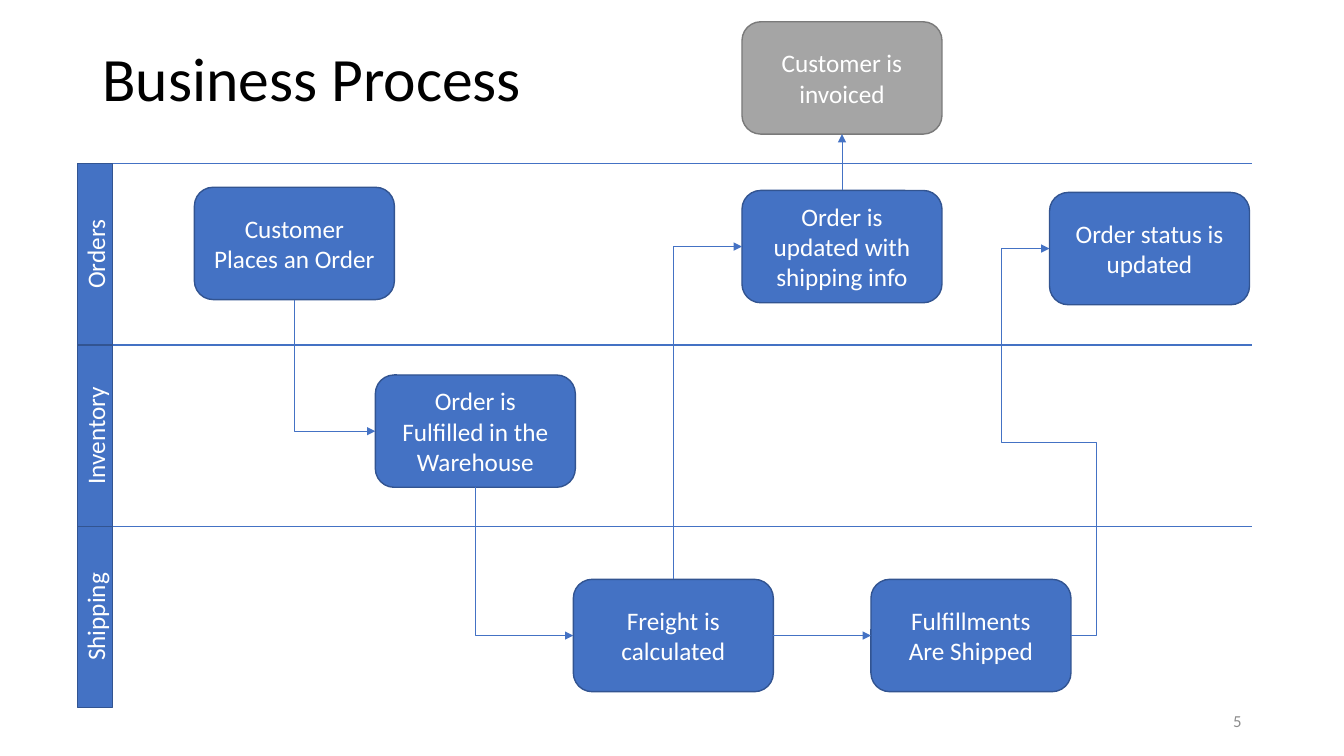
import pptx
import pptx.dml.color
import pptx.enum.shapes
import pptx.enum.text
import pptx.oxml
import pptx.oxml.ns
import pptx.util

Cm, Pt = pptx.util.Cm, pptx.util.Pt
SHAPE = pptx.enum.shapes.MSO_SHAPE
CONNECTOR = pptx.enum.shapes.MSO_CONNECTOR
ALIGN = pptx.enum.text.PP_ALIGN
MIDDLE = pptx.enum.text.MSO_ANCHOR.MIDDLE
qn = pptx.oxml.ns.qn

THEME = {
    "font": "Calibri",
    "title": 44, "label": 18, "number": 12,
    "black": "000000", "white": "FFFFFF", "muted": "8C8C8C",
    "blue": "4472C4", "navy": "325491", "gray": "A5A5A5", "dark gray": "7A7A7A",
    "border": 1, "arrow": 0.5,
}

TITLE = "Business Process"
PAGE_NUMBER = "5"
LANES = ["Orders", "Inventory", "Shipping"]

# name: (text, left, top, fill, outline), lengths in cm
STEPS = {
    "placed": ("Customer\nPlaces an Order", 4.9, 4.72, "blue", "navy"),
    "fulfilled": ("Order is\nFulfilled in the Warehouse", 9.46, 9.45, "blue", "navy"),
    "freight": ("Freight is calculated", 14.45, 14.6, "blue", "navy"),
    "invoiced": ("Customer is invoiced", 18.7, 0.55, "gray", "dark gray"),
    "info": ("Order is updated with shipping info", 18.7, 4.8, "blue", "navy"),
    "shipped": ("Fulfillments\nAre Shipped", 21.95, 14.6, "blue", "navy"),
    "status": ("Order status is updated", 26.45, 4.85, "blue", "navy"),
}
STEP_SIZE = (5.04, 2.83)
LANE_LEFT, LANE_RIGHT, LANE_TOP = 1.96, 31.54, 4.12
LANE_HEIGHT, LABEL_WIDTH = 4.57, 0.87

# connection sites of a step box
TOP, LEFT, BOTTOM, RIGHT = range(4)
FLOWS = [
    ("placed", BOTTOM, "fulfilled", LEFT, "corner"),
    ("fulfilled", BOTTOM, "freight", LEFT, "corner"),
    ("freight", TOP, "info", LEFT, "corner"),
    ("info", TOP, "invoiced", BOTTOM, "straight"),
    ("freight", RIGHT, "shipped", LEFT, "straight"),
    ("shipped", RIGHT, "status", LEFT, "detour"),
]
DETOUR_RIGHT, DETOUR_LEFT = 27.64, 25.23


def color(name):
    """Return a theme colour."""
    return pptx.dml.color.RGBColor.from_string(THEME[name])


def write(shape, text, size, ink, align, spacing=None):
    """Fill a shape with formatted, vertically centred text."""
    frame = shape.text_frame
    frame.text = text
    frame.word_wrap = True
    frame.vertical_anchor = MIDDLE
    for para in frame.paragraphs:
        para.alignment = align
        para.line_spacing = spacing
        for span in para.runs:
            values = {"name": THEME["font"], "size": Pt(THEME[size]), "bold": False}
            for key, value in values.items():
                setattr(span.font, key, value)
            span.font.color.rgb = color(ink)


def place(shape, left, top, width, height):
    """Move and size a shape in centimetres."""
    values = {"left": left, "top": top, "width": width, "height": height}
    for key, value in values.items():
        setattr(shape, key, Cm(value))


def add_box(page, kind, text, left, top, width, height, fill, outline):
    """Add a filled box with a centred label."""
    box = page.shapes.add_shape(kind, Cm(left), Cm(top), Cm(width), Cm(height))
    box.shadow.inherit = False
    box.fill.solid()
    box.fill.fore_color.rgb = color(fill)
    box.line.color.rgb = color(outline)
    box.line.width = Pt(THEME["border"])
    write(box, text, "label", "white", ALIGN.CENTER)
    return box


def add_line(page, kind, ends, weight):
    """Add a blue connector without a shadow."""
    line = page.shapes.add_connector(kind, *(Cm(end) for end in ends))
    line.line.color.rgb = color("blue")
    line.line.width = Pt(THEME[weight])
    pptx.oxml.ns  # namespace helpers serve the element below
    line._element.spPr.append(pptx.oxml.parse_xml(
        "<a:effectLst %s/>" % pptx.oxml.ns.nsdecls("a")))
    return line


def bend(line, route):
    """Give an elbow connector a single corner or a detour of five legs."""
    properties = line._element.spPr
    geometry = properties.find(qn("a:prstGeom"))
    start_x, start_y, end_x, end_y = line.begin_x, line.begin_y, line.end_x, line.end_y
    across, down = abs(end_x - start_x), abs(end_y - start_y)
    if route == "corner":
        geometry.set("prst", "bentConnector2")
        line.left = (start_x + end_x - down) // 2
        line.top = (start_y + end_y - across) // 2
        line.width, line.height = down, across
        upward = end_y < start_y
        frame = properties.find(qn("a:xfrm"))
        values = {"rot": str((90 if upward else 270) * 60000),
                  "flipH": "1", "flipV": "1" if upward else "0"}
        for key, value in values.items():
            frame.set(key, value)
    else:
        geometry.set("prst", "bentConnector5")
        guides = geometry.get_or_add_avLst()
        turns = [(start_x - Cm(DETOUR_RIGHT)) / across, 0.5,
                 (start_x - Cm(DETOUR_LEFT)) / across]
        for number, turn in enumerate(turns, 1):
            guides.append(pptx.oxml.parse_xml(
                '<a:gd %s name="adj%d" fmla="val %d"/>'
                % (pptx.oxml.ns.nsdecls("a"), number, round(turn * 100000))))


def add_flow(page, boxes, source, source_site, target, target_site, route):
    """Join two steps with an arrow."""
    kind = CONNECTOR.STRAIGHT if route == "straight" else CONNECTOR.ELBOW
    line = add_line(page, kind, (0, 0, 1, 1), "arrow")
    line.begin_connect(boxes[source], source_site)
    line.end_connect(boxes[target], target_site)
    if route != "straight":
        bend(line, route)
    line._element.spPr.find(qn("a:ln")).append(pptx.oxml.parse_xml(
        '<a:tailEnd %s type="triangle"/>' % pptx.oxml.ns.nsdecls("a")))


def add_lanes(page):
    """Draw the lane rules and their upright labels."""
    for index, name in enumerate(LANES):
        top = LANE_TOP + index * LANE_HEIGHT
        add_line(page, CONNECTOR.STRAIGHT, (LANE_LEFT, top, LANE_RIGHT, top), "border")
    for index, name in enumerate(LANES):
        middle = LANE_TOP + (index + 0.5) * LANE_HEIGHT
        label = add_box(page, SHAPE.RECTANGLE, name,
                        LANE_LEFT + (LABEL_WIDTH - LANE_HEIGHT) / 2,
                        middle - LABEL_WIDTH / 2,
                        LANE_HEIGHT, LABEL_WIDTH, "blue", "navy")
        label.rotation = 270


deck = pptx.Presentation()
deck.slide_width, deck.slide_height = Cm(33.87), Cm(19.05)
page = deck.slides.add_slide(deck.slide_layouts[5])

title = page.shapes.title
place(title, 2.33, 1.02, 29.21, 2.08)
write(title, TITLE, "title", "black", ALIGN.LEFT, 0.9)

number_box = page.shapes.add_textbox(0, 0, 0, 0)
place(number_box, 23.92, 17.66, 7.62, 1.01)
write(number_box, PAGE_NUMBER, "number", "muted", ALIGN.RIGHT)

add_lanes(page)
boxes = {
    name: add_box(page, SHAPE.FLOWCHART_ALTERNATE_PROCESS, text, left, top,
                  *STEP_SIZE, fill, outline)
    for name, (text, left, top, fill, outline) in STEPS.items()
}
for flow in FLOWS:
    add_flow(page, boxes, *flow)

deck.save("out.pptx")
